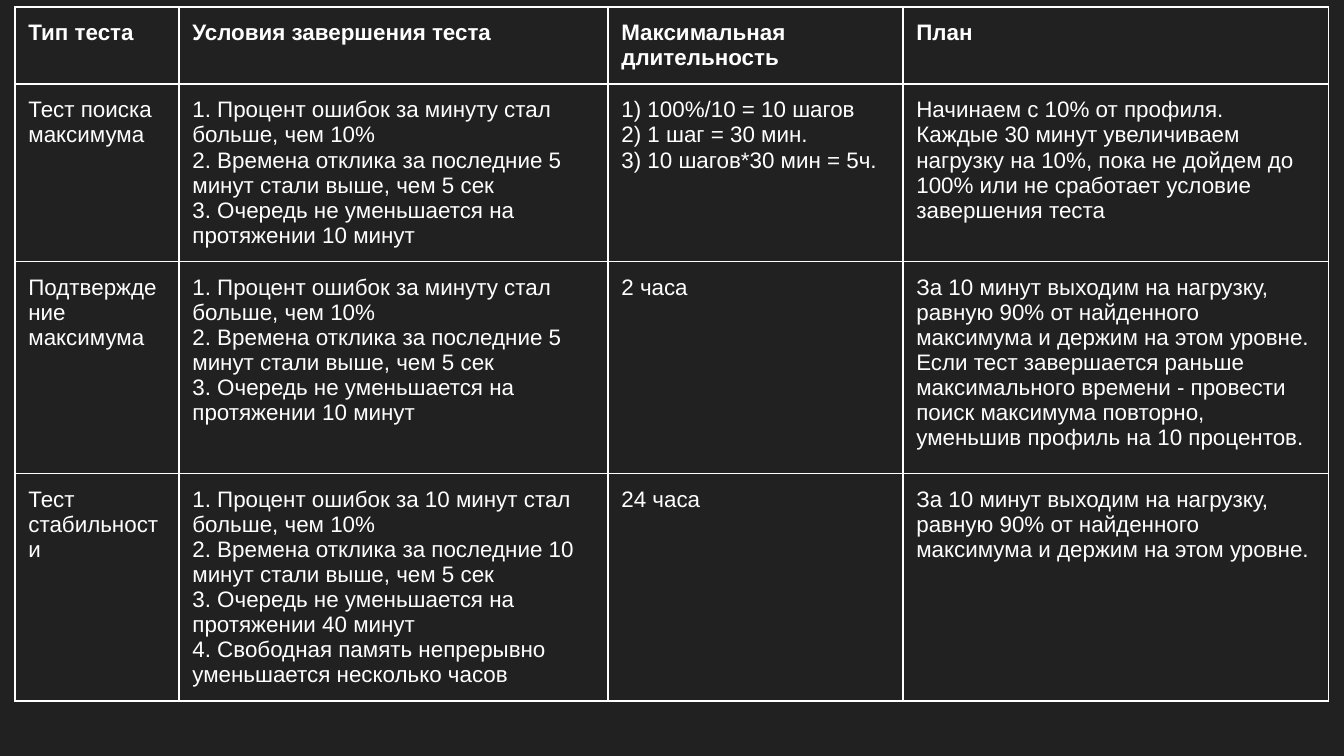
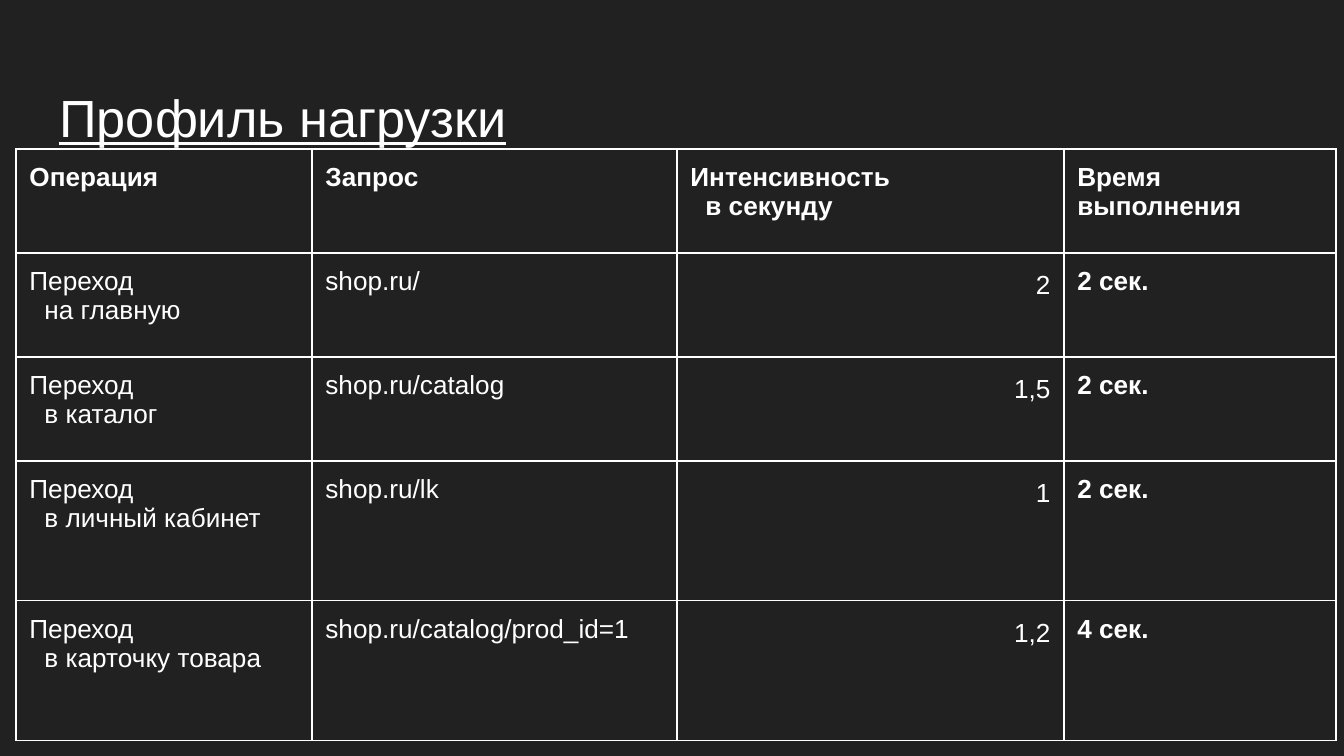
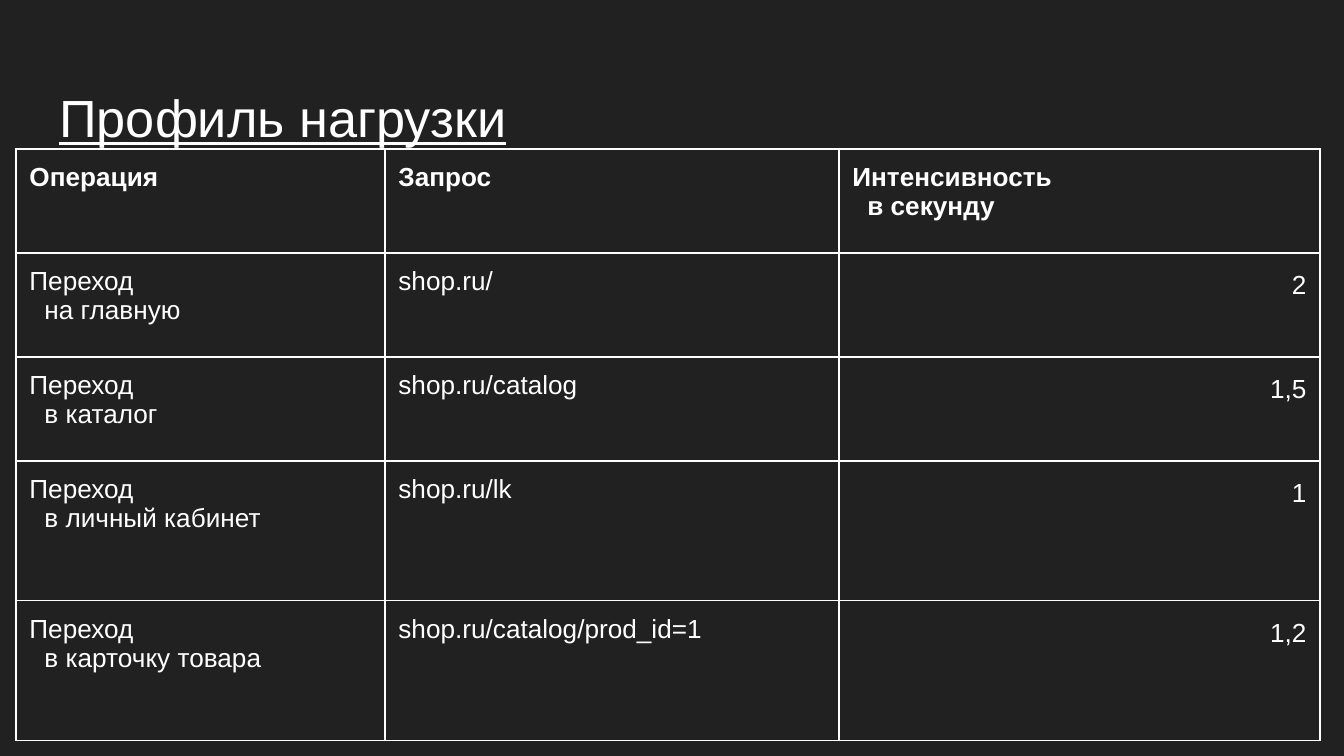
import lxml.etree
import pptx
import pptx.dml.color
import pptx.enum.text
import pptx.oxml.ns
import pptx.util

PX = 914400 / 134.4
FONT = "Arial"
COLORS = {"background": "212121", "text": "FFFFFF", "border": "FFFFFF"}
TITLE_ONLY, BLANK = 5, 6
PROFILE_TITLE = "Профиль нагрузки"
PROFILE_ROWS = [104, 104, 104, 140, 140]

ERRORS = "1. Процент ошибок за {} стал больше, чем 10%"
RESPONSE = "2. Времена отклика за последние {} минут стали выше, чем 5 сек"
QUEUE = "3. Очередь не уменьшается на протяжении {} минут"
MEMORY = "4. Свободная память непрерывно уменьшается несколько часов"
HOLD = ("За 10 минут выходим на нагрузку, равную 90% от найденного "
        "максимума и держим на этом уровне.")

SHORT_LIMITS = "\n".join([ERRORS.format("минуту"), RESPONSE.format(5),
                          QUEUE.format(10)])
LONG_LIMITS = "\n".join([ERRORS.format("10 минут"), RESPONSE.format(10),
                         QUEUE.format(40), MEMORY])

TESTS = [
    ["Тип теста", "Условия завершения теста", "Максимальная длительность", "План"],
    ["Тест поиска максимума", SHORT_LIMITS,
     "1) 100%/10 = 10 шагов\n2) 1 шаг = 30 мин.\n3) 10 шагов*30 мин = 5ч.",
     "Начинаем с 10% от профиля.\nКаждые 30 минут увеличиваем нагрузку на 10%, "
     "пока не дойдем до 100% или не сработает условие завершения теста"],
    ["Подтверждение максимума", SHORT_LIMITS, "2 часа",
     HOLD + " Если тест завершается раньше максимального времени - провести "
     "поиск максимума повторно, уменьшив профиль на 10 процентов."],
    ["Тест стабильности", LONG_LIMITS, "24 часа", HOLD],
]

PROFILE = [
    ["Операция", "Запрос", "Интенсивность\nв секунду", "Время выполнения"],
    ["Переход\nна главную", "shop.ru/", "2", "2 сек."],
    ["Переход\nв каталог", "shop.ru/catalog", "1,5", "2 сек."],
    ["Переход\nв личный кабинет", "shop.ru/lk", "1", "2 сек."],
    ["Переход\nв карточку товара", "shop.ru/catalog/prod_id=1", "1,2", "4 сек."],
]


def px(n):
    return pptx.util.Emu(round(n * PX))


def rgb(name):
    return pptx.dml.color.RGBColor.from_string(COLORS[name])


def format_runs(p, size, bold=False, underline=False):
    for r in p.runs:
        r.font.name = FONT
        r.font.size = pptx.util.Pt(size)
        r.font.bold = bold
        r.font.underline = underline
        r.font.color.rgb = rgb("text")


def set_insets(tf):
    tf.margin_left = tf.margin_right = pptx.util.Inches(0.1)
    tf.margin_top = tf.margin_bottom = pptx.util.Inches(0.1)


def add_title(s, text):
    sp = s.shapes.title
    sp.left, sp.top, sp.width, sp.height = px(46), px(66), px(1253), px(85)
    tf = sp.text_frame
    tf.text = text
    tf.word_wrap = True
    tf.auto_size = pptx.enum.text.MSO_AUTO_SIZE.NONE
    tf.vertical_anchor = pptx.enum.text.MSO_ANCHOR.TOP
    set_insets(tf)
    p = tf.paragraphs[0]
    p.alignment = pptx.enum.text.PP_ALIGN.LEFT
    p.line_spacing = 1.1
    format_runs(p, 28, underline=True)


def add_borders(cell):
    qn = pptx.oxml.ns.qn
    tc_pr = cell._tc.get_or_add_tcPr()
    for side in ("lnL", "lnR", "lnT", "lnB"):
        ln = lxml.etree.SubElement(tc_pr, qn(f"a:{side}"), w=str(pptx.util.Pt(0.75)))
        fill = lxml.etree.SubElement(ln, qn("a:solidFill"))
        lxml.etree.SubElement(fill, qn("a:srgbClr"), val=COLORS["border"])


def fill_cell(cell, text, size, bold, number, indent):
    tf = cell.text_frame
    tf.text = text
    set_insets(cell)
    for i, p in enumerate(tf.paragraphs):
        format_runs(p, size, bold)
        if number:
            p.alignment = pptx.enum.text.PP_ALIGN.RIGHT
            p.line_spacing = 1.15
        if i and indent:
            p._p.get_or_add_pPr().set("marL", str(px(indent)))
    add_borders(cell)
    cell.fill.background()


def add_grid(s, left, top, cols, rows, data, size,
             number_col=None, bold_col=None, indent=0):
    frame = s.shapes.add_table(len(rows), len(cols), px(left), px(top),
                               px(sum(cols)), px(sum(rows)))
    table = frame.table
    table.first_row = table.horz_banding = False
    for column, width in zip(table.columns, cols):
        column.width = px(width)
    for row, height in zip(table.rows, rows):
        row.height = px(height)
    for i, values in enumerate(data):
        for j, text in enumerate(values):
            fill_cell(table.cell(i, j), text, size, i == 0 or j == bold_col,
                      i > 0 and j == number_col, indent)


def add_profile(prs, cols):
    s = prs.slides.add_slide(prs.slide_layouts[TITLE_ONLY])
    add_title(s, PROFILE_TITLE)
    data = [row[:len(cols)] for row in PROFILE]
    add_grid(s, 16, 149, cols, PROFILE_ROWS, data, 14,
             number_col=2, bold_col=3, indent=15)


def main():
    prs = pptx.Presentation()
    prs.slide_width, prs.slide_height = px(1344), px(756)
    fill = prs.slide_master.background.fill
    fill.solid()
    fill.fore_color.rgb = rgb("background")

    s = prs.slides.add_slide(prs.slide_layouts[BLANK])
    add_grid(s, 15, 7, [164, 429, 295, 426], [73, 140, 212, 216], TESTS, 12)
    add_profile(prs, [296, 365, 387, 272])
    add_profile(prs, [369, 454, 481])
    prs.save("out.pptx")


if __name__ == "__main__":
    main()
